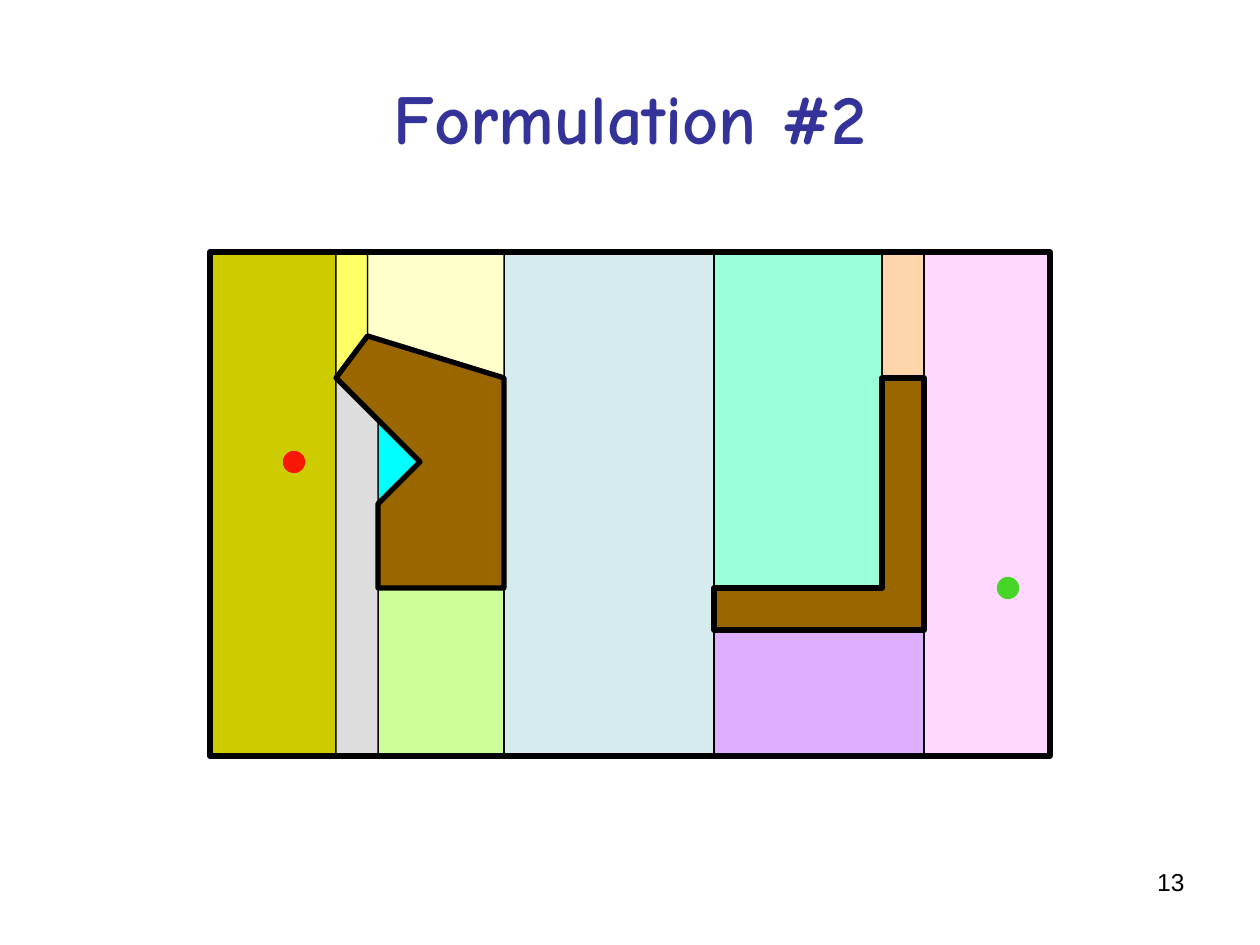
"""Build the slide showing a cell decomposition of a robot's free space."""
from dataclasses import dataclass

from pptx import Presentation
from pptx import util as u
from pptx.dml.color import RGBColor
from pptx.enum import shapes, text


@dataclass(frozen=True)
class Theme:
    """Colours, type sizes and line widths of the slide."""
    heading: str = "333399"
    ink: str = "000000"
    obstacle: str = "996600"
    start: str = "F81706"
    goal: str = "45D628"
    heading_font: str = "Comic Neue"
    number_font: str = "Arial"
    heading_size: int = 40
    number_size: int = 14
    thin: float = 0.75
    thick: float = 3


THEME = Theme()
UNIT = u.Cm(2.54) / 3
ROOM = (5, 6, 25, 18)
MARK_SIZE = 0.5

RECTANGULAR_CELLS = [
    ((17, 6, 21, 14), "9BFFD7"),
    ((21, 6, 22, 9), "FFD5AB"),
    ((17, 15, 22, 18), "DFAFFF"),
    ((22, 6, 25, 18), "FFD7FF"),
    ((12, 6, 17, 18), "D5EBED"),
    ((9, 14, 12, 18), "CCFF99"),
    ((5, 6, 8, 18), "CCCC00"),
]
SLANTED_CELLS = [
    ([(8.75, 6), (8.75, 8), (12, 9), (12, 6)], "FFFFCC"),
    ([(9, 10), (10, 11), (9, 12)], "00FFFF"),
    ([(8, 9), (9, 10), (9, 18), (8, 18)], "DDDDDD"),
    ([(8.75, 8), (8, 9), (8, 6), (8.75, 6)], "FFFF66"),
]
OBSTACLES = [
    [(8, 9), (10, 11), (9, 12), (9, 14), (12, 14), (12, 9), (8.75, 8)],
    [(17, 14), (17, 15), (22, 15), (22, 9), (21, 9), (21, 14)],
]


def grid(value):
    """Convert grid units to a slide length."""
    return u.Emu(round(value * UNIT))


def paint(region, fill, line, width):
    """Give a region its fill and outline, without a shadow."""
    region.shadow.inherit = False
    if fill:
        region.fill.solid()
        region.fill.fore_color.rgb = RGBColor.from_string(fill)
    else:
        region.fill.background()
    region.line.color.rgb = RGBColor.from_string(line)
    region.line.width = u.Pt(width)


def add_preset(slide, kind, bounds, fill, line=THEME.ink, width=THEME.thin):
    """Draw a preset shape between two grid corners."""
    left, top, right, bottom = bounds
    region = slide.shapes.add_shape(
        kind, grid(left), grid(top), grid(right - left), grid(bottom - top))
    paint(region, fill, line, width)


def add_polygon(slide, corners, fill, width=THEME.thin):
    """Draw a closed polygon through grid corners."""
    first, *others = [(grid(x), grid(y)) for x, y in corners]
    outline = slide.shapes.build_freeform(*first)
    outline.add_line_segments(others, close=True)
    paint(outline.convert_to_shape(), fill, THEME.ink, width)


def add_mark(slide, x, y, color):
    """Draw a round position mark centred on a grid point."""
    half = MARK_SIZE / 2
    bounds = (x - half, y - half, x + half, y + half)
    add_preset(slide, shapes.MSO_SHAPE.OVAL, bounds, color, color)


def write(frame, words, align, font_name, size, color, bold=False):
    """Set one formatted line of text in a frame."""
    frame.word_wrap = True
    frame.auto_size = text.MSO_AUTO_SIZE.NONE
    frame.text = words
    line = frame.paragraphs[0]
    line.alignment = align
    font = line.runs[0].font
    font.name, font.size, font.bold = font_name, u.Pt(size), bold
    font.color.rgb = RGBColor.from_string(color)


def add_heading(slide, words):
    """Place and format the slide title."""
    heading = slide.shapes.title
    heading.left, heading.top = u.Cm(1.27), u.Cm(0.76)
    heading.width, heading.height = u.Cm(22.86), u.Cm(3.18)
    heading.text_frame.vertical_anchor = text.MSO_ANCHOR.MIDDLE
    write(heading.text_frame, words, text.PP_ALIGN.CENTER,
          THEME.heading_font, THEME.heading_size, THEME.heading, bold=True)


def add_page_number(slide, number):
    """Write the page number at the lower right."""
    box = slide.shapes.add_textbox(
        u.Cm(18.21), u.Cm(17.35), u.Cm(5.92), u.Cm(1.32))
    write(box.text_frame, number, text.PP_ALIGN.RIGHT,
          THEME.number_font, THEME.number_size, THEME.ink)


def main():
    """Build and save the slide."""
    deck = Presentation()
    deck.slide_width, deck.slide_height = u.Cm(25.4), u.Cm(19.05)
    slide = deck.slides.add_slide(deck.slide_layouts.get_by_name("Title Only"))
    add_heading(slide, "Formulation #2")
    add_page_number(slide, "13")
    for bounds, color in RECTANGULAR_CELLS:
        add_preset(slide, shapes.MSO_SHAPE.RECTANGLE, bounds, color)
    for corners, color in SLANTED_CELLS:
        add_polygon(slide, corners, color)
    add_preset(slide, shapes.MSO_SHAPE.RECTANGLE, ROOM, None, width=THEME.thick)
    for corners in OBSTACLES:
        add_polygon(slide, corners, THEME.obstacle, THEME.thick)
    add_mark(slide, 7, 11, THEME.start)
    add_mark(slide, 24, 14, THEME.goal)
    deck.save("out.pptx")


if __name__ == "__main__":
    main()
